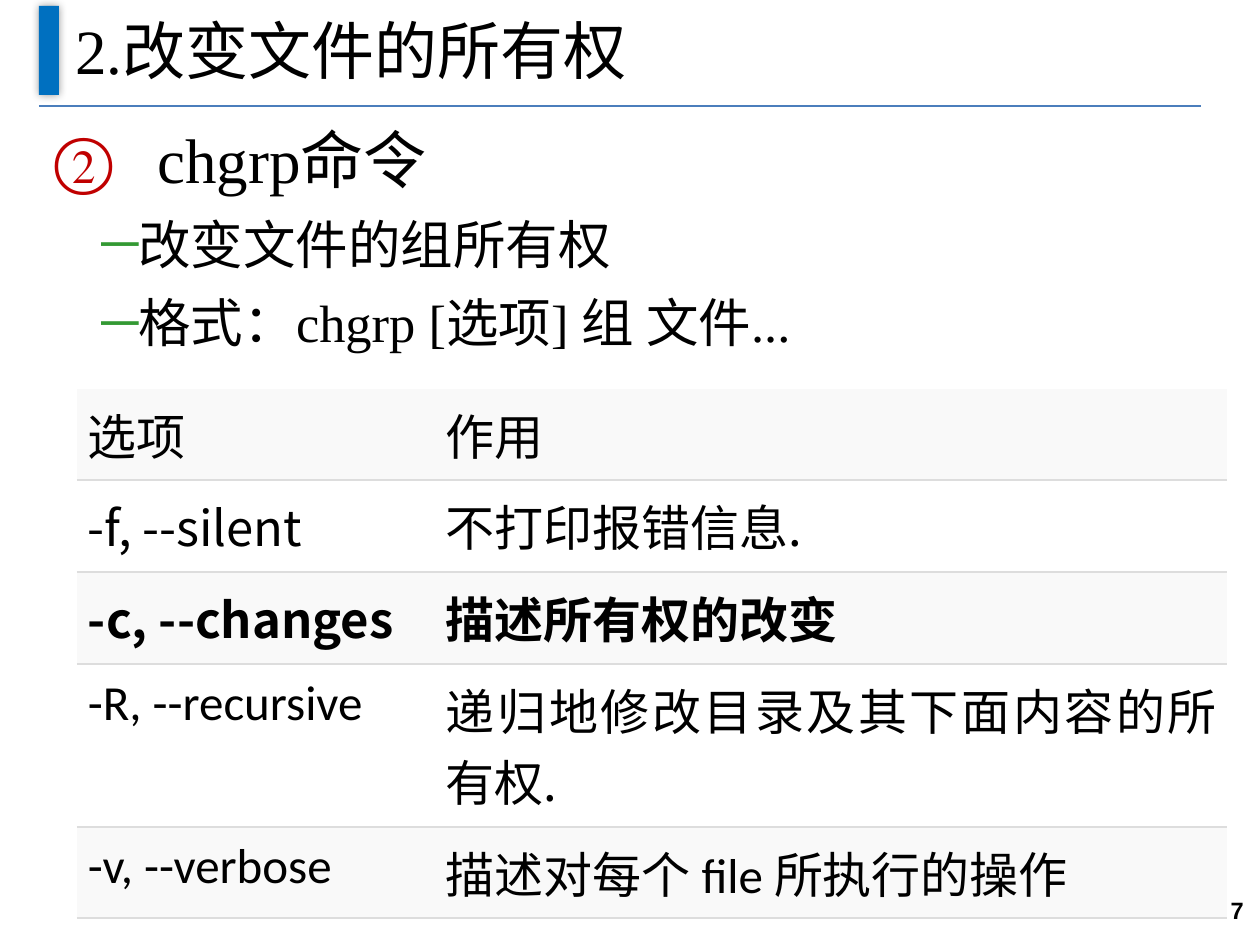
from typing import NamedTuple, Optional

from lxml import etree
from pptx import Presentation, util as u
from pptx.dml.color import RGBColor
from pptx.enum import shapes, text
from pptx.oxml import parse_xml
from pptx.oxml.ns import nsdecls, qn

PX_PER_INCH = 126
BLACK = RGBColor(0, 0, 0)
WHITE = RGBColor(0xFF, 0xFF, 0xFF)
STRIPE = RGBColor(0xF9, 0xF9, 0xF9)
RULE_GREY = RGBColor(0xDD, 0xDD, 0xDD)
RULE_BLUE = RGBColor(0x4B, 0x7E, 0xBC)
MARKER_BLUE = RGBColor(0x00, 0x70, 0xC0)
RED = RGBColor(0xC0, 0x00, 0x00)
GREEN = RGBColor(0x33, 0x99, 0x33)
TIMES, CALIBRI, NOTO = "Times New Roman", "Calibri", "Noto Sans CJK SC"


class Style(NamedTuple):
    size: float
    latin: str
    asian: str = NOTO
    bold: bool = False


class Bullet(NamedTuple):
    tag: str
    attributes: dict
    color: RGBColor
    margin: int
    indent: int


class Line(NamedTuple):
    words: str
    style: Style
    align: Optional[text.PP_ALIGN] = None
    level: int = 0
    bullet: Optional[Bullet] = None


class Option(NamedTuple):
    flag: str
    effect: str
    height: int = 92
    flag_font: str = CALIBRI
    effect_font: str = CALIBRI
    bold: bool = False


NUMBER = Bullet("a:buAutoNum", {"type": "circleNumDbPlain", "startAt": "2"}, RED, 103, -103)
DASH = Bullet("a:buChar", {"char": "─"}, GREEN, 84, -37)
HEADING = Style(36, TIMES)
COMMAND = Style(36, TIMES, CALIBRI)
DETAIL = Style(30, TIMES, CALIBRI)
JUSTIFY = text.PP_ALIGN.JUSTIFY

BODY = [
    Line("chgrp命令", COMMAND, JUSTIFY, 0, NUMBER),
    Line("改变文件的组所有权", DETAIL, JUSTIFY, 1, DASH),
    Line("格式：chgrp [选项] 组 文件...", DETAIL, JUSTIFY, 1, DASH),
]
OPTIONS = [
    Option("选项", "作用", 91),
    Option("-f, --silent", "不打印报错信息.", 92, NOTO, NOTO),
    Option("-c, --changes", "描述所有权的改变", 92, NOTO, NOTO, True),
    Option("-R, --recursive", "递归地修改目录及其下面内容的所有权.", 163, CALIBRI, NOTO),
    Option("-v, --verbose", "描述对每个 file 所执行的操作", 91),
]
COLUMN_WIDTHS = (358, 792)


def px(length: int) -> u.Emu:
    return u.Emu(round(length * 914400 / PX_PER_INCH))


def write_line(para, line: Line) -> None:
    para.alignment = line.align
    para.level = line.level
    if line.bullet:
        add_bullet(para, line.bullet)
    span = para.add_run()
    span.text = line.words
    formats = {"size": u.Pt(line.style.size), "name": line.style.latin, "bold": line.style.bold}
    for name, value in formats.items():
        setattr(span.font, name, value)
    span.font.color.rgb = BLACK
    asian = etree.SubElement(span.font._element, qn("a:ea"))
    asian.set("typeface", line.style.asian)


def add_bullet(para, bullet: Bullet) -> None:
    properties = para._p.get_or_add_pPr()
    properties.set("marL", str(px(bullet.margin)))
    properties.set("indent", str(px(bullet.indent)))
    color = etree.SubElement(properties, qn("a:buClr"))
    etree.SubElement(color, qn("a:srgbClr")).set("val", str(bullet.color))
    etree.SubElement(properties, qn("a:buFont")).set("typeface", TIMES)
    etree.SubElement(properties, qn(bullet.tag), bullet.attributes)


def add_text(page, bounds: tuple, lines: list[Line], anchor=text.MSO_ANCHOR.TOP) -> None:
    box = page.shapes.add_textbox(*map(px, bounds))
    frame = box.text_frame
    frame.word_wrap = True
    frame.vertical_anchor = anchor
    for index, line in enumerate(lines):
        para = frame.add_paragraph() if index else frame.paragraphs[0]
        if index:
            para.space_before = u.Pt(4.5)
        if len(lines) > 1:
            para.space_after = u.Pt(4.5)
        write_line(para, line)


def add_title_marks(page) -> None:
    """Draw the rule under the title and the shadowed bar beside it."""
    rule = page.shapes.add_connector(
        shapes.MSO_CONNECTOR.STRAIGHT, px(39), px(106), px(1201), px(106))
    rule.line.color.rgb = RULE_BLUE
    rule.line.width = u.Pt(0.75)
    etree.SubElement(rule._element.spPr, qn("a:effectLst"))

    bar = page.shapes.add_shape(shapes.MSO_SHAPE.RECTANGLE, px(39), px(6), px(20), px(89))
    bar.fill.solid()
    bar.fill.fore_color.rgb = MARKER_BLUE
    bar.line.fill.background()
    bar.shadow.inherit = False
    effects = bar._element.spPr.find(qn("a:effectLst"))
    effects.append(parse_xml(
        f'<a:outerShdw {nsdecls("a")} blurRad="{u.Pt(5)}" dist="0" dir="0">'
        '<a:srgbClr val="000000"><a:alpha val="40000"/></a:srgbClr></a:outerShdw>'))


def set_borders(cell, ruled: set[str]) -> None:
    properties = cell._tc.get_or_add_tcPr()
    for position, edge in enumerate(("lnL", "lnR", "lnT", "lnB")):
        fill = (f'<a:solidFill><a:srgbClr val="{RULE_GREY}"/></a:solidFill>'
                if edge in ruled else "<a:noFill/>")
        properties.insert(position, parse_xml(
            f'<a:{edge} {nsdecls("a")} w="{u.Pt(1)}">{fill}</a:{edge}>'))


def add_options(page) -> None:
    frame = page.shapes.add_table(
        len(OPTIONS), len(COLUMN_WIDTHS), px(77), px(389),
        px(sum(COLUMN_WIDTHS)), px(sum(option.height for option in OPTIONS)))
    table = frame.table
    for column, width in zip(table.columns, COLUMN_WIDTHS):
        column.width = px(width)
    for index, option in enumerate(OPTIONS):
        table.rows[index].height = px(option.height)
        entries = ((option.flag, option.flag_font), (option.effect, option.effect_font))
        for cell, (words, font) in zip(table.rows[index].cells, entries):
            margins = {"left": 11, "right": 10, "top": 10, "bottom": 10}
            for side, margin in margins.items():
                setattr(cell, f"margin_{side}", px(margin))
            cell.fill.solid()
            cell.fill.fore_color.rgb = WHITE if index % 2 else STRIPE
            set_borders(cell, {"lnT", "lnB"} if index else {"lnB"})
            style = Style(28, font, bold=option.bold)
            write_line(cell.text_frame.paragraphs[0], Line(words, style, JUSTIFY))


def main() -> None:
    deck = Presentation()
    deck.slide_width, deck.slide_height = px(1260), px(945)
    page = deck.slides.add_slide(deck.slide_layouts[6])
    middle = text.MSO_ANCHOR.MIDDLE
    add_title_marks(page)
    add_text(page, (63, -4, 1134, 106), [Line("2.改变文件的所有权", HEADING)], middle)
    add_text(page, (42, 114, 1157, 799), BODY)
    number = Line("7", Style(13.5, "Arial", bold=True), text.PP_ALIGN.RIGHT)
    add_text(page, (1139, 876, 117, 69), [number], middle)
    add_options(page)
    deck.save("out.pptx")


if __name__ == "__main__":
    main()
